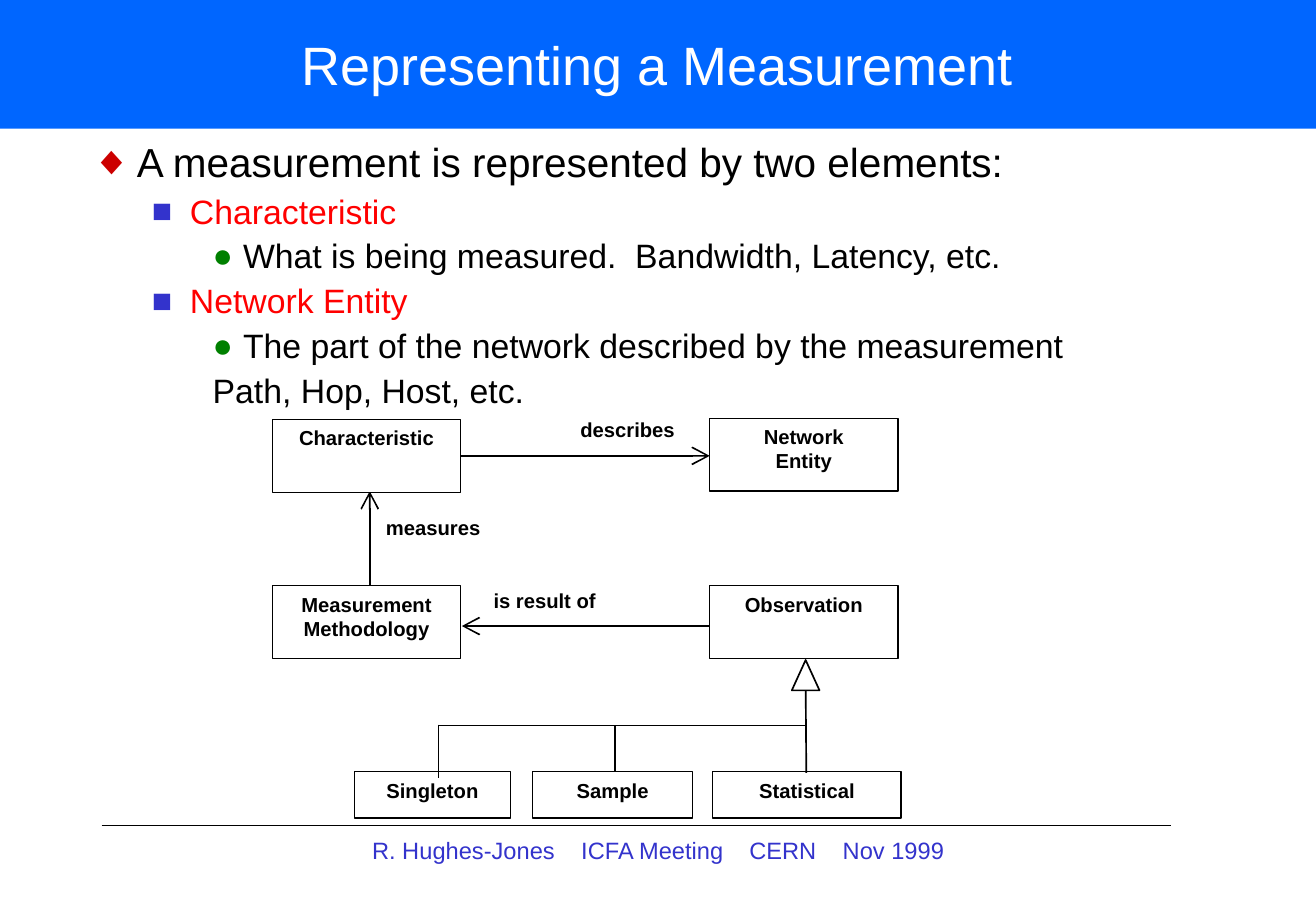
from lxml.etree import SubElement
from pptx import Presentation
from pptx.dml.color import RGBColor
from pptx.enum.shapes import MSO_CONNECTOR as Connector, MSO_SHAPE as Shape
from pptx.enum.text import MSO_ANCHOR as Anchor, PP_ALIGN as Align
from pptx.oxml.ns import qn
from pptx.util import Pt

BLACK = RGBColor(0, 0, 0)
WHITE = RGBColor(255, 255, 255)
BANNER_BLUE = RGBColor(0, 0x66, 255)
RED = RGBColor(255, 0, 0)
FOOTER_BLUE = RGBColor(0x33, 0x33, 0xCC)
FONT = "Arial"

# Content: all lengths in points
SLIDE_W, SLIDE_H = 780.13, 540
TITLE = "Representing a Measurement"
BODY = [  # level, text, has bullet
    (0, "A measurement is represented by two elements:", True),
    (1, "Characteristic", True),
    (2, "What is being measured.  Bandwidth, Latency, etc.", True),
    (1, "Network Entity", True),
    (2, "The part of the network described by the measurement", True),
    (2, "Path, Hop, Host, etc.", False),
]
LEVELS = [  # bullet, bullet colour, text colour, size, left, hanging, space before
    ("◆", "CC0000", BLACK, 24, 27, 27, 6),
    ("■", "3333CC", RED, 20, 58.5, 22.5, 5),
    ("●", "008000", BLACK, 20, 90, 18, 5),
]
FOOTER = ["R. Hughes-Jones", "ICFA Meeting", "CERN", "Nov 1999"]
FOOTER_TABS = [124, 223.6, 279]

BOX_W, BOX_H, LEAF_H = 111.6, 43.2, 27.4
LEFT_X, RIGHT_X, LEAF_Y = 161.5, 420.7, 457.5
BOXES = [  # lines, left, top, width, height
    ("Characteristic", LEFT_X, 248.6, BOX_W, BOX_H),
    ("Network\nEntity", RIGHT_X, 247.9, BOX_W, BOX_H),
    ("Measurement\nMethodology", LEFT_X, 347.3, BOX_W, BOX_H),
    ("Observation", RIGHT_X, 347.3, BOX_W, BOX_H),
    ("Singleton", 210.2, LEAF_Y, 92.4, LEAF_H),
    ("Sample", 315.7, LEAF_Y, 95, LEAF_H),
    ("Statistical", 422.6, LEAF_Y, BOX_W, LEAF_H),
]
LABELS = [("describes", 316.3, 244.1), ("measures", 201, 302), ("is result of", 267.1, 345.2)]
ARROWS = [
    (271.4, 270.2, RIGHT_X, 270.2),
    (219.2, 364.3, 219.2, 291.2),
    (424, 371.1, 273.8, 371.1),
]
TREE_X, TREE_Y = 477.6, 430.1
TREE = [
    (TREE_X + 0.4, LEAF_Y + 0.6, TREE_X, 404),
    (260, TREE_Y, TREE_X, TREE_Y),
    (364.4, LEAF_Y, 364.4, TREE_Y - 0.6),
    (260, TREE_Y - 0.6, 260, 461),
]

deck = Presentation()
deck.slide_width, deck.slide_height = Pt(SLIDE_W), Pt(SLIDE_H)
page = deck.slides.add_slide(deck.slide_layouts[6])


def add_line(x1, y1, x2, y2, weight=1, arrow=False):
    line = page.shapes.add_connector(Connector.STRAIGHT, Pt(x1), Pt(y1), Pt(x2), Pt(y2))
    line.line.color.rgb = BLACK
    line.line.width = Pt(weight)
    if arrow:
        SubElement(line.line._get_or_add_ln(), qn("a:tailEnd"), type="arrow", w="lg", len="lg")
    SubElement(line._element.spPr, qn("a:effectLst"))


def add_solid(kind, x, y, w, h, fill, weight=0):
    shape = page.shapes.add_shape(kind, Pt(x), Pt(y), Pt(w), Pt(h))
    shape.shadow.inherit = False
    shape.fill.solid()
    shape.fill.fore_color.rgb = fill
    if weight:
        shape.line.color.rgb = BLACK
        shape.line.width = Pt(weight)
    else:
        shape.line.fill.background()
    return shape


def add_text_box(x, y, w, h):
    return page.shapes.add_textbox(Pt(x), Pt(y), Pt(w), Pt(h))


def style(para, size, color, bold=False, align=Align.CENTER):
    para.alignment = align
    para.font.name = FONT
    for span in para.runs:
        span.font.name = FONT
        span.font.size = Pt(size)
        span.font.color.rgb = color
        span.font.bold = bold


def write(shape, text, size, color, bold=False, side=5.8, anchor=Anchor.TOP, align=Align.CENTER):
    frame = shape.text_frame
    frame.word_wrap = True
    frame.vertical_anchor = anchor
    frame.margin_left = frame.margin_right = Pt(side)
    frame.margin_top = frame.margin_bottom = Pt(3.6)
    frame.text = text
    for para in frame.paragraphs:
        style(para, size, color, bold, align)


# Footer rule and banner
add_line(60.3, 489.2, 694.3, 489.2, 0.75)
banner = add_solid(Shape.RECTANGLE, 0, 0, 780, 76.3, BANNER_BLUE)
write(banner, TITLE, 32, WHITE, side=7.2, anchor=Anchor.MIDDLE)

# Bulleted text
body = add_text_box(47, 81.1, 709.2, 171.4)
write(body, "\n".join(text for _, text, _ in BODY), 20, BLACK, side=7.2)
for number, (para, (level, _, bulleted)) in enumerate(zip(body.text_frame.paragraphs, BODY)):
    mark, mark_color, color, size, left, hanging, before = LEVELS[level]
    props = para._p.get_or_add_pPr()
    props.set("marL", str(Pt(left)))
    props.set("indent", str(-Pt(hanging)))
    if bulleted:
        SubElement(SubElement(props, qn("a:buClr")), qn("a:srgbClr"), val=mark_color)
        SubElement(props, qn("a:buFont"), typeface=FONT)
        SubElement(props, qn("a:buChar"), char=mark)
    else:
        SubElement(props, qn("a:buNone"))
    para.level = level
    para.line_spacing = 0.9
    para.space_before = Pt(before if number else 0)
    style(para, size, color, align=Align.LEFT)

# Diagram
for ends in ARROWS:
    add_line(*ends, arrow=True)
for text, x, y in LABELS:
    write(add_text_box(x, y, BOX_W, 29.5), text, 12, BLACK, bold=True)
for text, *place in BOXES:
    box = add_solid(Shape.RECTANGLE, *place, WHITE, 0.75)
    write(box, text, 12, BLACK, bold=True)
for ends in TREE:
    add_line(*ends)
add_solid(Shape.ISOSCELES_TRIANGLE, TREE_X - 8.2, 391.2, 16.4, 18, WHITE, 1)

# Footer text
footer = add_text_box(220.6, 492.2, 360, 36)
write(footer, "\t".join(FOOTER), 14, FOOTER_BLUE, side=0, align=Align.LEFT)
props = footer.text_frame.paragraphs[0]._p.get_or_add_pPr()
tabs = SubElement(props, qn("a:tabLst"))
props.insert(0, tabs)
for stop in FOOTER_TABS:
    SubElement(tabs, qn("a:tab"), pos=str(Pt(stop)), algn="l")

deck.save("out.pptx")
